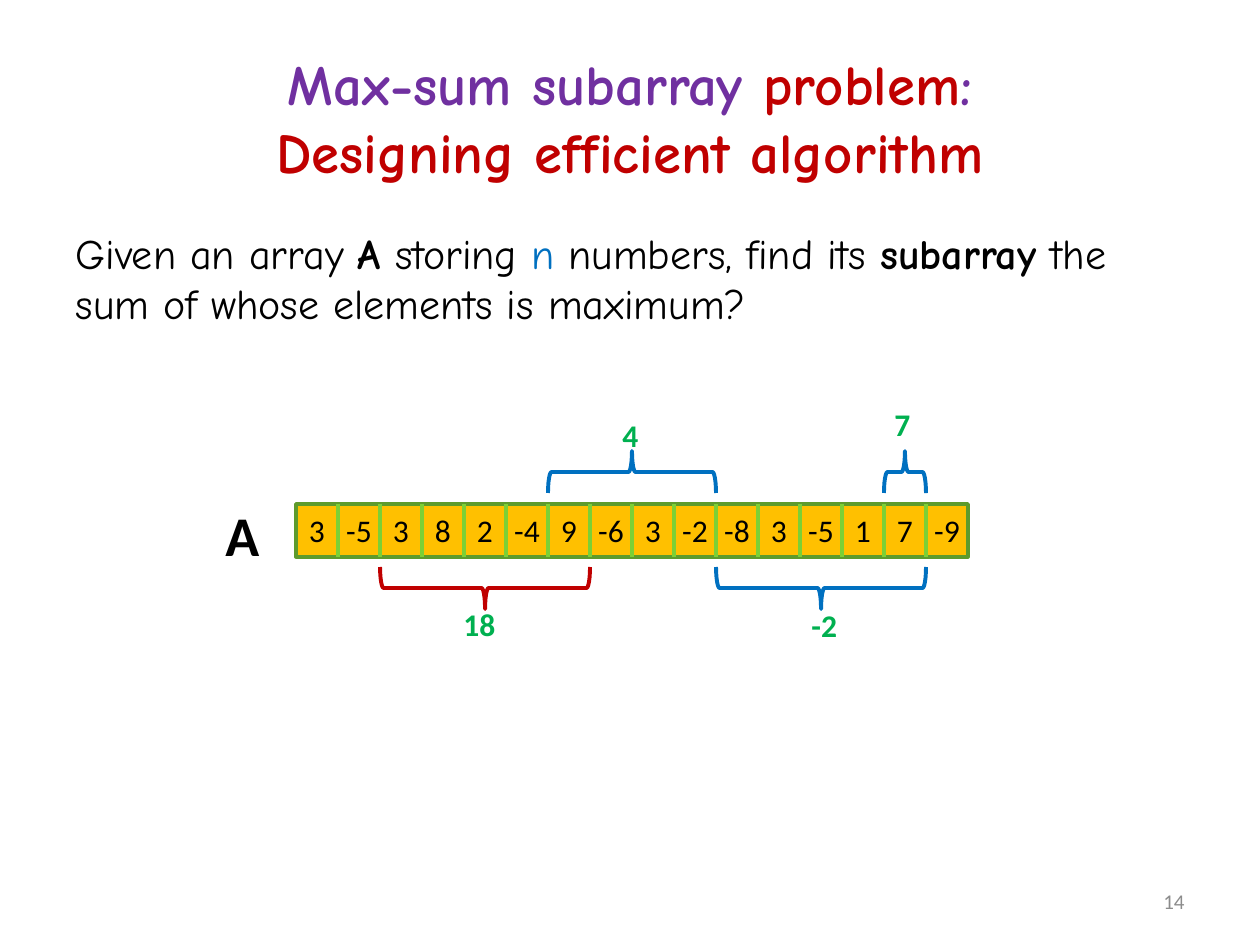
from dataclasses import dataclass

from lxml.etree import SubElement
from pptx import Presentation
from pptx.dml.color import RGBColor
from pptx.enum.shapes import MSO_CONNECTOR as CONN, MSO_SHAPE as SHAPE
from pptx.enum.text import MSO_ANCHOR as ANCHOR, MSO_AUTO_SIZE as AUTO, PP_ALIGN as ALIGN
from pptx.oxml.ns import qn
from pptx.util import Emu, Pt

SCALE = 914400 / 126
COMIC, CALIBRI = "Comic Neue", "Calibri"
BLACK, PURPLE, RED, BLUE = "000000", "7030A0", "C00000", "0070C0"
GREEN, GREY = "00B050", "8C8C8C"

# Array geometry in px
VALUES = [3, -5, 3, 8, 2, -4, 9, -6, 3, -2, -8, 3, -5, 1, 7, -9]
CELL, LEFT, TOP, HEIGHT = 42, 296, 504, 53
BRACE_DEPTH = 42


@dataclass
class Span:
    """A run of cells marked by a brace and its sum."""
    first: int
    count: int
    above: bool
    color: str
    total: str
    label: tuple[int, int, int]  # left, top, width


SPANS = [
    Span(6, 4, True, BLUE, "4", (610, 410, 42)),
    Span(14, 1, True, BLUE, "7", (882, 399, 42)),
    Span(10, 5, False, BLUE, "-2", (799, 600, 52)),
    Span(2, 5, False, RED, "18", (451, 599, 58)),
]


def px(n: float) -> Emu:
    return Emu(round(n * SCALE))


def rgb(color: str) -> RGBColor:
    return RGBColor.from_string(color)


def place(sp, left: int, top: int, width: int, height: int) -> None:
    box = {"left": left, "top": top, "width": width, "height": height}
    for name, value in box.items():
        setattr(sp, name, px(value))


def add_run(p, text: str, color: str, size: float, name: str, bold: bool = False) -> None:
    r = p.add_run()
    r.text = text
    for key, value in {"name": name, "size": Pt(size), "bold": bold}.items():
        setattr(r.font, key, value)
    r.font.color.rgb = rgb(color)


def add_label(slide, box: tuple, text: str, size: float, color: str = BLACK,
              bold: bool = False, **frame):
    tb = slide.shapes.add_textbox(*map(px, box))
    tf = tb.text_frame
    for key, value in ({"word_wrap": False} | frame).items():
        setattr(tf, key, value)
    p = tf.paragraphs[0]
    add_run(p, text, color, size, CALIBRI, bold)
    return p


def set_line(sp, color: str, width: float) -> None:
    sp.line.color.rgb = rgb(color)
    sp.line.width = Pt(width)


def add_array(slide) -> None:
    bar = slide.shapes.add_shape(
        SHAPE.RECTANGLE, *map(px, (LEFT, TOP, CELL * len(VALUES), HEIGHT)))
    bar.shadow.inherit = False
    bar.fill.solid()
    bar.fill.fore_color.rgb = rgb("FFC000")
    set_line(bar, "5E9B2C", 2)

    # Cell dividers
    for i in range(1, len(VALUES)):
        x = LEFT + i * CELL
        line = slide.shapes.add_connector(
            CONN.STRAIGHT, px(x), px(TOP), px(x), px(TOP + HEIGHT))
        if 2 * i == len(VALUES):
            line.begin_connect(bar, 0)
            line.end_connect(bar, 2)
        set_line(line, "7CD036", 2.25)
        SubElement(line._element.spPr, qn("a:effectLst"))

    # Values, each centred in its cell by a tab stop
    p = add_label(slide, (LEFT, 505, CELL * len(VALUES) + 20, 50),
                  "".join(f"\t{v}" for v in VALUES), 18,
                  word_wrap=True, margin_left=0, margin_right=0)
    tabs = SubElement(p._p.get_or_add_pPr(), qn("a:tabLst"))
    for i in range(len(VALUES)):
        SubElement(tabs, qn("a:tab"), pos=str(px((i + 0.5) * CELL)), algn="ctr")


def add_span(slide, span: Span) -> None:
    length = span.count * CELL
    center_x = LEFT + span.first * CELL + length / 2
    center_y = 472 if span.above else 588
    brace = slide.shapes.add_shape(
        SHAPE.RIGHT_BRACE, px(center_x - BRACE_DEPTH / 2), px(center_y - length / 2),
        px(BRACE_DEPTH), px(length))
    brace.rotation = 270 if span.above else 90
    brace.shadow.inherit = False
    brace.fill.background()
    set_line(brace, span.color, 2.25)
    left, top, width = span.label
    add_label(slide, (left, top, width, 50), span.total, 18, GREEN, True)


def main() -> None:
    prs = Presentation()
    prs.slide_width, prs.slide_height = px(1260), px(945)
    slide = prs.slides.add_slide(prs.slide_layouts[1])

    # Title
    title, body = slide.placeholders
    place(title, 63, 38, 1134, 158)
    tf = title.text_frame
    tf.auto_size, tf.vertical_anchor = AUTO.NONE, ANCHOR.MIDDLE
    p = tf.paragraphs[0]
    p.alignment = ALIGN.CENTER
    for text, color in [("Max-sum subarray ", PURPLE), ("problem", RED), (":", PURPLE)]:
        add_run(p, text, color, 32.4, COMIC, True)
    p.add_line_break()
    add_run(p, "Designing efficient algorithm", RED, 32.4, COMIC, True)

    # Problem statement
    place(body, 63, 221, 1134, 624)
    body.text_frame.auto_size = AUTO.NONE
    p = body.text_frame.paragraphs[0]
    pPr = p._p.get_or_add_pPr()
    pPr.set("marL", "0")
    pPr.set("indent", "0")
    SubElement(pPr, qn("a:buNone"))
    p.space_before = Pt(0)
    for text, color, bold in [
        ("Given an array ", BLACK, False),
        ("A", BLACK, True),
        (" storing ", BLACK, False),
        ("n", BLUE, False),
        (" numbers, find its ", BLACK, False),
        ("subarray", BLACK, True),
        (" the sum of whose elements is maximum?", BLACK, False),
    ]:
        add_run(p, text, color, 24, COMIC, bold)

    # Slide number
    p = add_label(slide, (903, 876, 294, 50), "14", 12, GREY,
                  word_wrap=True, vertical_anchor=ANCHOR.MIDDLE)
    p.alignment = ALIGN.RIGHT

    # Array with its marked subarrays
    add_array(slide)
    add_label(slide, (213, 494, 59, 81), "A", 32, bold=True)
    for span in SPANS:
        add_span(slide, span)

    prs.save("out.pptx")


if __name__ == "__main__":
    main()
